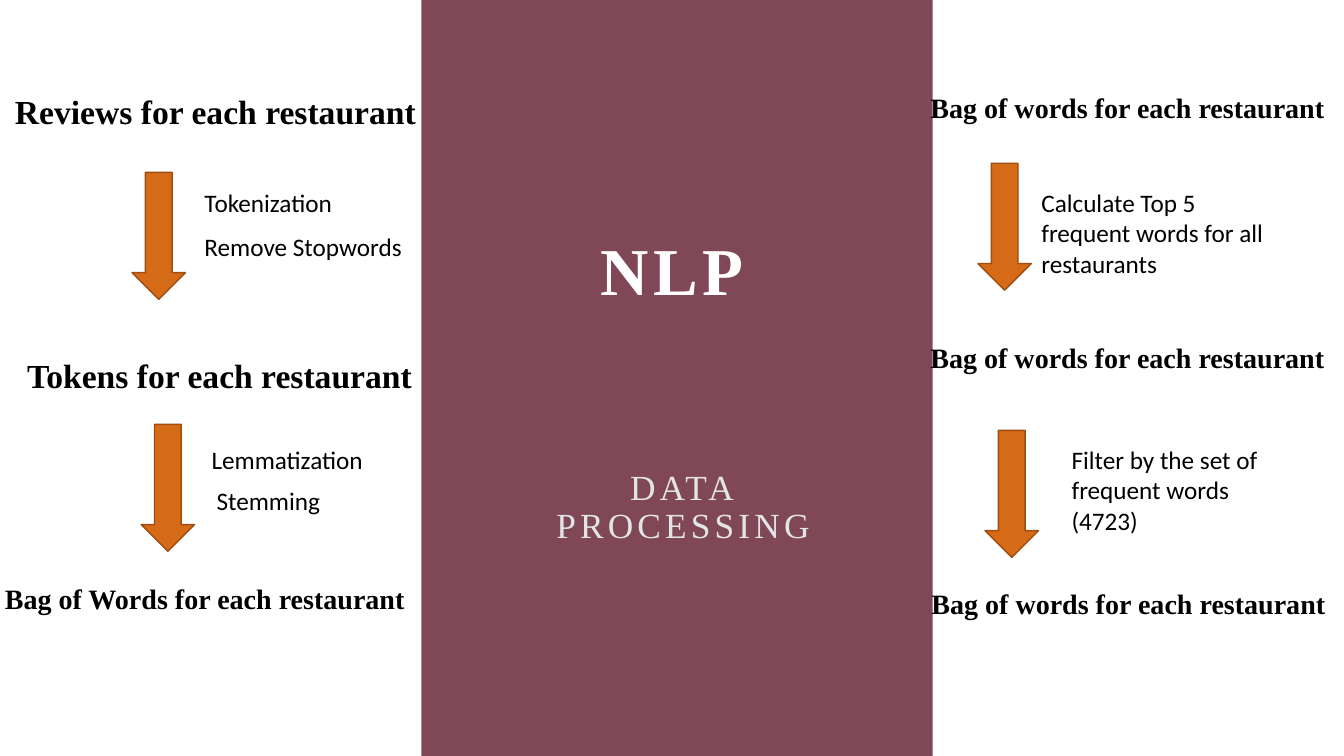
from dataclasses import dataclass

from pptx import Presentation
from pptx.dml.color import RGBColor
from pptx.enum.shapes import MSO_SHAPE
from pptx.enum.text import MSO_ANCHOR, MSO_AUTO_SIZE, PP_ALIGN
from pptx.util import Inches, Pt


@dataclass(frozen=True)
class Theme:
    panel = RGBColor(0x80, 0x47, 0x56)
    arrow = RGBColor(0xD5, 0x6A, 0x17)
    arrow_edge = RGBColor(0x9E, 0x4E, 0x11)
    ink = RGBColor(0, 0, 0)
    topic = RGBColor(0xFF, 0xFF, 0xFF)
    title = RGBColor(0xE2, 0xE5, 0xE8)
    serif = "Times New Roman"
    sans = "Calibri"
    topic_size = 47.8
    title_size = 25.2
    large_stage_size = 24
    stage_size = 20
    step_size = 18
    letter_spacing = 300


theme = Theme()

TOPIC = ("NLP", 4.81, 1.87)
TITLE = ("DATA PROCESSING", 4.92, 4.22)
PANEL = (4.18, 0, 5.07, 7.5)

# text, left, top, type size
STAGES = [
    ("Reviews for each restaurant", 0.05, 0.85, theme.large_stage_size),
    ("Tokens for each restaurant", 0.17, 3.47, theme.large_stage_size),
    ("Bag of Words for each restaurant", -0.05, 5.72, theme.stage_size),
    ("Bag of words for each restaurant", 9.13, 0.85, theme.stage_size),
    ("Bag of words for each restaurant", 9.13, 3.33, theme.stage_size),
    ("Bag of words for each restaurant", 9.14, 5.77, theme.stage_size),
]
# paragraphs, left, top, width, height
STEPS = [
    (["Tokenization"], 1.93, 1.81, 3, 0.4),
    (["Remove Stopwords"], 1.93, 2.25, 3, 0.4),
    (["Lemmatization"], 2, 4.36, 3, 0.4),
    (["Stemming"], 2.05, 4.77, 3, 0.4),
    (["Calculate Top 5 frequent words for all", "restaurants"], 10.23, 1.81, 2.42, 1.01),
    (["Filter by the set of frequent words", "(4723)"], 10.53, 4.36, 2.71, 1),
]
ARROWS = [(1.31, 1.71), (1.4, 4.21), (9.7, 1.62), (9.77, 4.27)]
ARROW_SIZE = (0.53, 1.26)
CAPTION_SIZE = (3.71, 1.25)
STAGE_WIDTH = 4.76


def inches(*lengths):
    return [Inches(length) for length in lengths]


def add_block(slide, shape_kind, box, fill):
    block = slide.shapes.add_shape(shape_kind, *inches(*box))
    block.shadow.inherit = False
    block.fill.solid()
    block.fill.fore_color.rgb = fill
    block.line.fill.background()
    return block


def write(shape, lines, font_name, size, color, bold=False):
    frame = shape.text_frame
    frame.word_wrap = True
    frame.auto_size = MSO_AUTO_SIZE.NONE
    frame.text = "\n".join(lines)
    for paragraph in frame.paragraphs:
        font = paragraph.font
        font.name, font.size, font.bold = font_name, Pt(size), bold
        font.color.rgb = color


def write_caption(shape, text, size, color, bold=False):
    """Write centred, letter-spaced text at the foot of the shape."""
    write(shape, [text], theme.serif, size, color, bold)
    shape.text_frame.vertical_anchor = MSO_ANCHOR.BOTTOM
    paragraph = shape.text_frame.paragraphs[0]
    paragraph.alignment = PP_ALIGN.CENTER
    paragraph.line_spacing = 0.9
    paragraph.runs[0].font._element.set("spc", str(theme.letter_spacing))


def main():
    deck = Presentation()
    deck.slide_width, deck.slide_height = inches(13.33, 7.5)
    slide = deck.slides.add_slide(deck.slide_layouts[5])

    panel = add_block(slide, MSO_SHAPE.RECTANGLE, PANEL, theme.panel)
    title = slide.shapes.title
    panel._element.addnext(title._element)
    text, left, top = TITLE
    title.left, title.top, title.width, title.height = inches(left, top, *CAPTION_SIZE)
    write_caption(title, text, theme.title_size, theme.title)

    text, left, top = TOPIC
    topic = slide.shapes.add_textbox(*inches(left, top, *CAPTION_SIZE))
    write_caption(topic, text, theme.topic_size, theme.topic, bold=True)

    for position in ARROWS:
        arrow = add_block(slide, MSO_SHAPE.DOWN_ARROW, position + ARROW_SIZE, theme.arrow)
        arrow.line.color.rgb = theme.arrow_edge
        arrow.line.width = Pt(1)

    for text, left, top, size in STAGES:
        height = 0.5 if size == theme.large_stage_size else 0.44
        stage = slide.shapes.add_textbox(*inches(left, top, STAGE_WIDTH, height))
        write(stage, [text], theme.serif, size, theme.ink, bold=True)

    for lines, *box in STEPS:
        step = slide.shapes.add_textbox(*inches(*box))
        write(step, lines, theme.sans, theme.step_size, theme.ink)

    deck.save("out.pptx")


if __name__ == "__main__":
    main()
